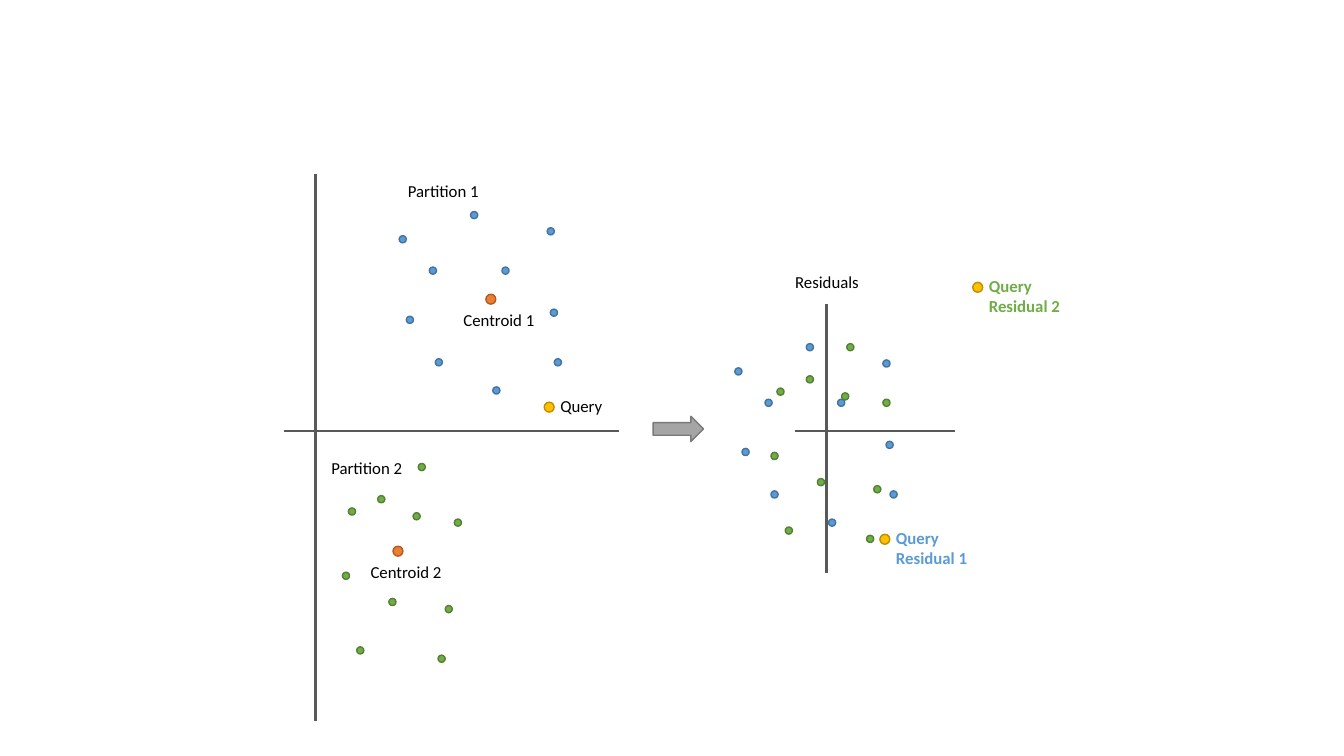
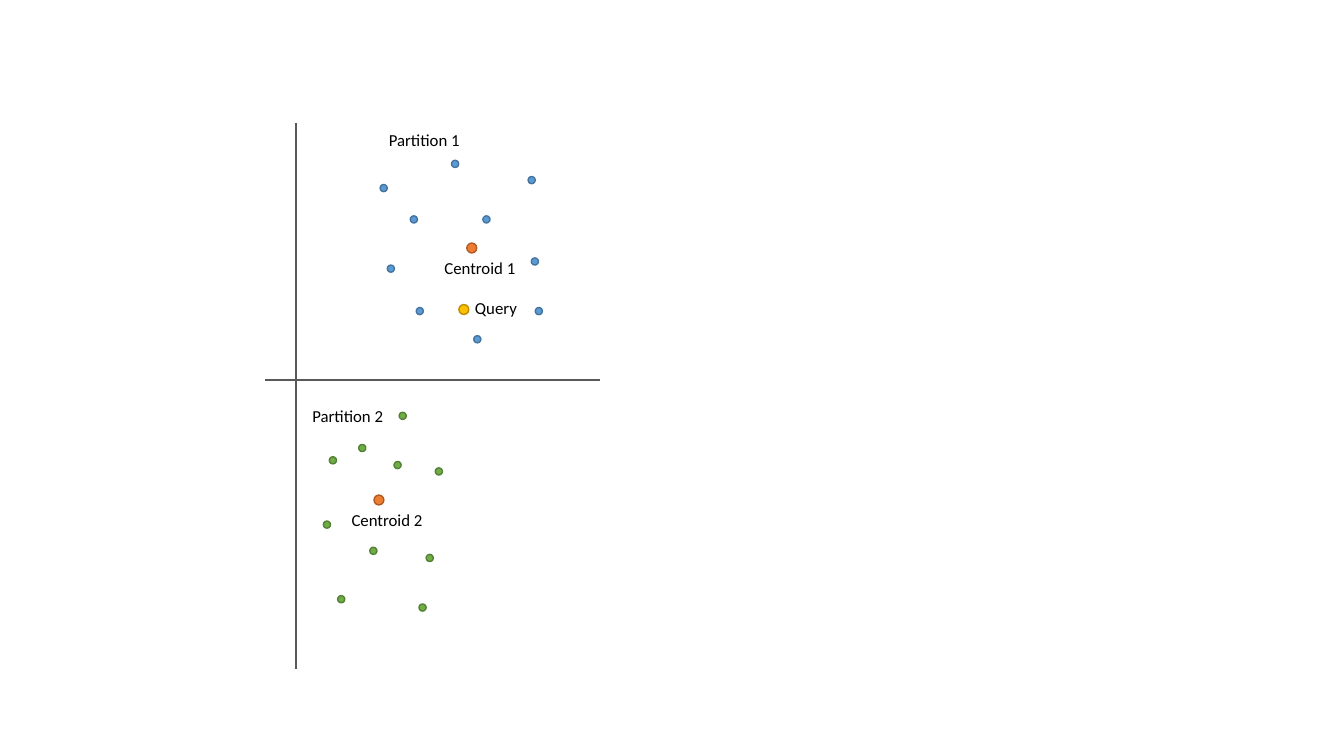
"""Build two slides on partitioned vectors, their query and its residuals."""
from typing import NamedTuple

from lxml.etree import SubElement
from pptx import Presentation
from pptx.dml.color import RGBColor
from pptx.enum.shapes import MSO_CONNECTOR, MSO_SHAPE
from pptx.enum.text import MSO_AUTO_SIZE
from pptx.oxml.ns import qn
from pptx.util import Cm, Pt

COLORS = {
    "axis": "595959", "text": "000000",
    "blue": "5B9BD5", "blue_line": "43739E",
    "green": "70AD47", "green_line": "538035",
    "orange": "ED7D31", "orange_line": "AF5C24",
    "gold": "FFC000", "gold_line": "BD8E00",
    "gray": "A5A5A5", "gray_line": "7A7A7A",
}
FONT = "Calibri"
DOT, MARK = 0.18, 0.25
LABEL_W, LINE_H = 2.34, 0.76


class Point(NamedTuple):
    """A position or an offset in centimetres."""
    x: float
    y: float

    def plus(self, other: "Point") -> "Point":
        """Return this point moved by an offset."""
        return Point(self.x + other.x, self.y + other.y)

    def minus(self, other: "Point") -> "Point":
        """Return the offset from another point to this one."""
        return Point(self.x - other.x, self.y - other.y)


class Axes(NamedTuple):
    """Reach of a pair of axes from their origin."""
    left: float
    right: float
    top: float
    bottom: float


class Partition(NamedTuple):
    """A cluster: centroid from the origin, the rest from the centroid."""
    number: int
    color: str
    centroid: Point
    title: Point
    dots: list[tuple[float, float]]


PARTITIONS = [
    Partition(1, "blue", Point(4.42, -3.33), Point(-2.34, -3.1), [
        (-2.22, -1.51), (1.59, 0.34), (-1.31, 1.59), (-2.04, 0.52), (-1.46, -0.72),
        (0.37, -0.72), (1.51, -1.71), (1.69, 1.59), (-0.42, -2.12), (0.14, 2.3)]),
    Partition(2, "green", Point(2.08, 3.02), Point(-1.93, -2.49), [
        (-1.16, -1), (1.28, 1.46), (-0.14, 1.28), (-1.31, 0.62), (-0.42, -1.31),
        (1.51, -0.72), (0.47, -0.88), (1.1, 2.71), (0.6, -2.12), (-0.95, 2.5)]),
]
SPACE_AXES = Axes(-0.79, 7.65, -6.48, 7.29)
RESIDUAL_AXES = Axes(-0.79, 3.23, -3.2, 3.56)
CENTROID_LABEL = Point(-0.94, 0.13)
QUERY_LABEL = Point(0.03, -0.41)


def rgb(name: str) -> RGBColor:
    """Look up a named colour."""
    return RGBColor.from_string(COLORS[name])


def add_shape(s, kind: MSO_SHAPE, at: Point, w: float, h: float, color: str) -> None:
    """Draw a filled shape with its matching outline."""
    sp = s.shapes.add_shape(kind, Cm(at.x), Cm(at.y), Cm(w), Cm(h))
    sp.shadow.inherit = False
    sp.fill.solid()
    sp.fill.fore_color.rgb = rgb(color)
    sp.line.color.rgb = rgb(f"{color}_line")
    sp.line.width = Pt(1)


def add_dot(s, center: Point, size: float, color: str) -> None:
    """Draw a round dot about its centre."""
    corner = center.minus(Point(size / 2, size / 2))
    add_shape(s, MSO_SHAPE.OVAL, corner, size, size, color)


def add_line(s, start: Point, end: Point) -> None:
    """Draw one axis line."""
    cxn = s.shapes.add_connector(
        MSO_CONNECTOR.STRAIGHT, Cm(start.x), Cm(start.y), Cm(end.x), Cm(end.y))
    cxn.line.color.rgb = rgb("axis")
    cxn.line.width = Pt(1.5)
    SubElement(cxn._element.spPr, qn("a:effectLst"))


def add_axes(s, origin: Point, axes: Axes) -> None:
    """Draw the vertical and the horizontal axis through an origin."""
    add_line(s, origin.plus(Point(0, axes.top)), origin.plus(Point(0, axes.bottom)))
    add_line(s, origin.plus(Point(axes.left, 0)), origin.plus(Point(axes.right, 0)))


def add_label(s, at: Point, text: str, color: str = "text",
              bold: bool = False, height: float = LINE_H) -> None:
    """Write a small label from its top left corner."""
    tf = s.shapes.add_textbox(Cm(at.x), Cm(at.y), Cm(LABEL_W), Cm(height)).text_frame
    tf.word_wrap = True
    tf.auto_size = MSO_AUTO_SIZE.SHAPE_TO_FIT_TEXT
    p = tf.paragraphs[0]
    p.text = text
    p.font.name = FONT
    p.font.size = Pt(12)
    p.font.bold = bold
    p.font.color.rgb = rgb(color)


def add_dots(s, center: Point, part: Partition) -> None:
    """Draw the dots of a partition about a centre."""
    for dot in part.dots:
        add_dot(s, center.plus(Point(*dot)), DOT, part.color)


def add_space(s, origin: Point, query: Point) -> None:
    """Draw the axes, both partitions and the query."""
    add_axes(s, origin, SPACE_AXES)
    for part in PARTITIONS:
        center = origin.plus(part.centroid)
        add_dots(s, center, part)
        add_dot(s, center, MARK, "orange")
        add_label(s, center.plus(CENTROID_LABEL), f"Centroid {part.number}")
        add_label(s, center.plus(part.title), f"Partition {part.number}")
    add_dot(s, origin.plus(query), MARK, "gold")
    add_label(s, origin.plus(query).plus(QUERY_LABEL), "Query")


def add_residuals(s, origin: Point, query: Point) -> None:
    """Draw every partition and the query relative to each centroid."""
    add_axes(s, origin, RESIDUAL_AXES)
    for part in PARTITIONS:
        add_dots(s, origin, part)
    add_label(s, origin.plus(Point(-1.04, -4.14)), "Residuals")
    for part in PARTITIONS:
        center = origin.plus(query.minus(part.centroid))
        add_dot(s, center, MARK, "gold")
        add_label(s, center.plus(QUERY_LABEL), f"Query Residual {part.number}",
                  part.color, True, 1.27)


def main() -> None:
    """Build and save the presentation."""
    prs = Presentation()
    prs.slide_width, prs.slide_height = Cm(33.87), Cm(19.05)
    blank = prs.slide_layouts[6]

    s = prs.slides.add_slide(blank)
    far_query = Point(5.89, -0.61)
    add_space(s, Point(7.95, 10.87), far_query)
    add_shape(s, MSO_SHAPE.RIGHT_ARROW, Point(16.46, 10.49), 1.27, 0.64, "gray")
    add_residuals(s, Point(20.83, 10.87), far_query)

    s = prs.slides.add_slide(blank)
    add_space(s, Point(7.47, 9.58), Point(4.22, -1.78))

    prs.save("out.pptx")


main()
